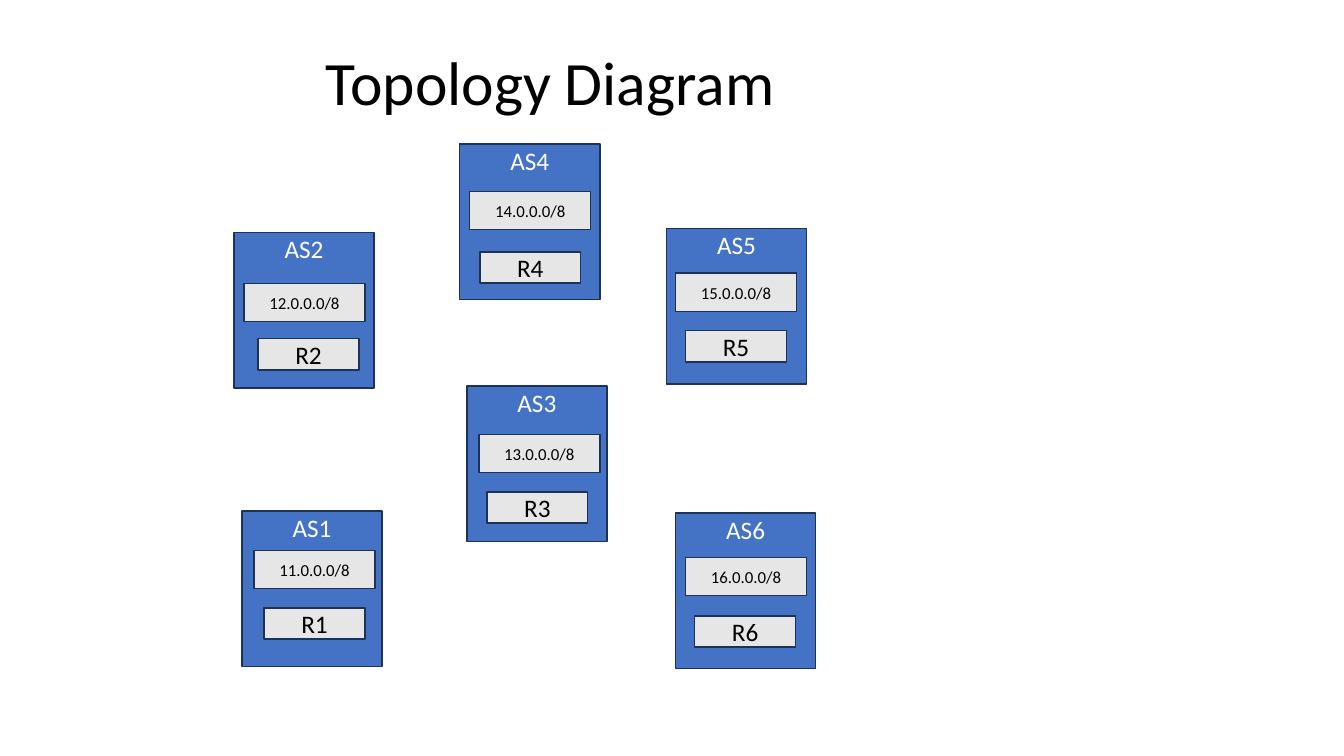
from dataclasses import dataclass

from pptx import Presentation
from pptx import util as u
from pptx.dml.color import RGBColor
from pptx.enum import shapes, text

PX = 9144
FONT = "Calibri"
BLUE = RGBColor(0x44, 0x72, 0xC4)
GREY = RGBColor(0xE7, 0xE6, 0xE6)
NAVY = RGBColor(0x1E, 0x32, 0x56)
WHITE = RGBColor(0xFF, 0xFF, 0xFF)
BLACK = RGBColor(0x00, 0x00, 0x00)


@dataclass(frozen=True)
class Style:
    width: int
    height: int
    fill: RGBColor
    color: RGBColor
    size: int
    anchor: text.MSO_ANCHOR


@dataclass(frozen=True)
class System:
    number: int
    left: int
    top: int
    prefix_dx: int
    prefix_dy: int
    router_dx: int
    router_dy: int


AS_BOX = Style(139, 154, BLUE, WHITE, 18, text.MSO_ANCHOR.TOP)
PREFIX_BOX = Style(120, 38, GREY, BLACK, 12, text.MSO_ANCHOR.MIDDLE)
ROUTER_BOX = Style(100, 31, GREY, BLACK, 18, text.MSO_ANCHOR.MIDDLE)

SYSTEMS = [
    System(1, 240, 507, 12, 39, 22, 96),
    System(2, 232, 231, 10, 50, 24, 105),
    System(3, 463, 383, 12, 48, 20, 105),
    System(4, 456, 143, 10, 47, 20, 107),
    System(5, 661, 227, 9, 44, 19, 101),
    System(6, 670, 509, 10, 44, 19, 102),
]


def px(n: int) -> u.Emu:
    return u.Emu(n * PX)


def add_box(s, style: Style, left: int, top: int, label: str):
    sp = s.shapes.add_shape(shapes.MSO_SHAPE.RECTANGLE, px(left), px(top),
                            px(style.width), px(style.height))
    sp.shadow.inherit = False
    sp.fill.solid()
    sp.fill.fore_color.rgb = style.fill
    sp.line.color.rgb = NAVY
    sp.line.width = u.Pt(1)
    tf = sp.text_frame
    tf.word_wrap = True
    tf.vertical_anchor = style.anchor
    p = tf.paragraphs[0]
    p.text = label
    p.alignment = text.PP_ALIGN.CENTER
    p.font.name = FONT
    p.font.size = u.Pt(style.size)
    p.font.color.rgb = style.color
    return sp


def add_system(s, a: System) -> None:
    sp = add_box(s, AS_BOX, a.left, a.top, f"AS{a.number}")
    sp.text_frame.margin_top = px(1)
    add_box(s, PREFIX_BOX, a.left + a.prefix_dx, a.top + a.prefix_dy,
            f"1{a.number}.0.0.0/8")
    add_box(s, ROUTER_BOX, a.left + a.router_dx, a.top + a.router_dy,
            f"R{a.number}")


def set_title(s, label: str) -> None:
    sp = s.shapes.title
    sp.left, sp.top, sp.width, sp.height = px(92), px(40), px(1012), px(89)
    tf = sp.text_frame
    tf.auto_size = text.MSO_AUTO_SIZE.NONE
    tf.vertical_anchor = text.MSO_ANCHOR.MIDDLE
    tf.margin_left = px(231)
    p = tf.paragraphs[0]
    p.text = label
    p.alignment = text.PP_ALIGN.LEFT
    p.line_spacing = 0.9
    p.font.name = FONT
    p.font.size = u.Pt(44)
    p.font.color.rgb = BLACK


def main() -> None:
    prs = Presentation()
    prs.slide_width, prs.slide_height = px(1333), px(750)
    s = prs.slides.add_slide(prs.slide_layouts[5])
    set_title(s, "Topology Diagram")
    for a in SYSTEMS:
        add_system(s, a)
    prs.save("out.pptx")


if __name__ == "__main__":
    main()
